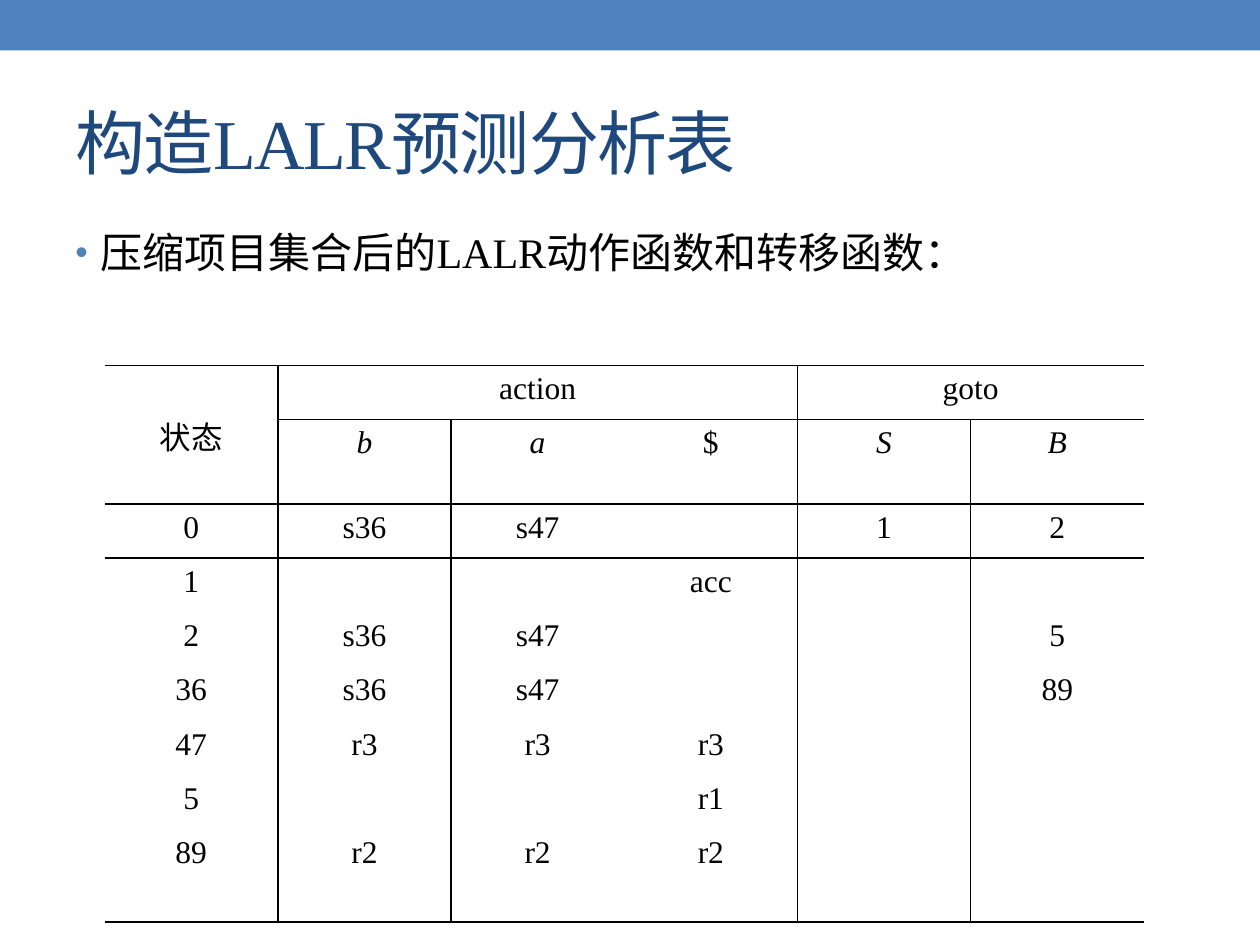
from pptx import Presentation, util as u
from pptx.dml.color import RGBColor
from pptx.enum import shapes, text
from pptx.oxml.ns import qn
from lxml import etree

COLORS = {"accent": "4F81BD", "title": "1F497D", "ink": "000000"}
SERIF, CJK = "Times New Roman", "Noto Sans CJK SC"
TITLE = [("构造LALR", SERIF), ("预测", CJK), ("分析表", SERIF)]
BULLET = "压缩项目集合后的LALR动作函数和转移函数："
ROWS = [
    ["状态", "action", "", "", "goto", ""],
    ["", "b", "a", "$", "S", "B"],
    ["0", "s36", "s47", "", "1", "2"],
    ["1", "", "", "acc", "", ""],
    ["2", "s36", "s47", "", "", "5"],
    ["36", "s36", "s47", "", "", "89"],
    ["47", "r3", "r3", "r3", "", ""],
    ["5", "", "", "r1", "", ""],
    ["89", "r2", "r2", "r2", "", ""],
]
MERGES = [((0, 0), (1, 0)), ((0, 1), (0, 3)), ((0, 4), (0, 5))]
SYMBOLS = {"b", "a", "S", "B"}
ROW_H, LAST_ROW_H = 0.43, 0.74
NO_STYLE = "{2D5ABB26-0587-4C30-8999-92F81FD0307C}"


def rgb(name):
    return RGBColor.from_string(COLORS[name])


def add_run(p, words, size, color, font=SERIF):
    r = p.add_run()
    r.text = words
    r.font.size = u.Pt(size)
    r.font.name = font
    r.font.color.rgb = rgb(color)
    etree.SubElement(r.font._element, qn("a:ea"), typeface=CJK)
    return r


def add_border(cell, side):
    ln = etree.SubElement(cell._tc.get_or_add_tcPr(), qn("a:ln" + side), w=str(u.Pt(1)))
    fill = etree.SubElement(ln, qn("a:solidFill"))
    etree.SubElement(fill, qn("a:srgbClr"), val=COLORS["ink"])


def cell_sides(row, col):
    last = len(ROWS) - 1
    return [side for side, wanted in (
        ("L", col in (1, 4)),
        ("R", col in (0, 3)),
        ("T", row in (0, 1, 2) and (row, col) != (1, 0)),
        ("B", row in (0, 1, last)),
    ) if wanted]


def add_title(s):
    sp = s.shapes.title
    sp.left, sp.top, sp.width, sp.height = map(u.Inches, (0.5, 0.58, 9, 1.08))
    tf = sp.text_frame
    tf.auto_size = text.MSO_AUTO_SIZE.NONE
    tf.vertical_anchor = text.MSO_ANCHOR.MIDDLE
    p = tf.paragraphs[0]
    p.alignment = text.PP_ALIGN.LEFT
    for words, font in TITLE:
        add_run(p, words, 40, "title", font).font._element.set("spc", "-100")


def add_bullet(s):
    tf = s.shapes.add_textbox(*map(u.Inches, (0.5, 1.75, 9, 5.33))).text_frame
    tf.word_wrap = True
    p = tf.paragraphs[0]
    pPr = p._p.get_or_add_pPr()
    pPr.set("marL", str(u.Inches(0.2)))
    pPr.set("indent", str(-u.Inches(0.2)))
    color = etree.SubElement(pPr, qn("a:buClr"))
    etree.SubElement(color, qn("a:srgbClr"), val=COLORS["accent"])
    etree.SubElement(pPr, qn("a:buSzPct"), val="85000")
    etree.SubElement(pPr, qn("a:buFont"), typeface="Arial")
    etree.SubElement(pPr, qn("a:buChar"), char="•")
    add_run(p, BULLET, 24, "ink")


def add_parse_table(s):
    heights = [ROW_H] * (len(ROWS) - 1) + [LAST_ROW_H]
    frame = s.shapes.add_table(len(ROWS), len(ROWS[0]),
                               *map(u.Inches, (0.83, 2.9, 8.25, sum(heights))))
    table = frame.table
    table.first_row = table.horz_banding = False
    table._tbl.tblPr.find(qn("a:tableStyleId")).text = NO_STYLE
    for row, height in zip(table.rows, heights):
        row.height = u.Inches(height)
    for start, end in MERGES:
        table.cell(*start).merge(table.cell(*end))
    for i, row in enumerate(ROWS):
        for j, words in enumerate(row):
            cell = table.cell(i, j)
            for side in cell_sides(i, j):
                add_border(cell, side)
            cell.fill.background()
            p = cell.text_frame.paragraphs[0]
            p.alignment = text.PP_ALIGN.CENTER
            if words:
                r = add_run(p, words, 18, "ink")
                r.font.italic = words in SYMBOLS
    table.cell(0, 0).text_frame.paragraphs[0].line_spacing = 1.9


def main():
    prs = Presentation()
    prs.slide_width, prs.slide_height = u.Inches(10), u.Inches(7.5)
    s = prs.slides.add_slide(prs.slide_layouts[5])
    band = s.shapes.add_shape(shapes.MSO_SHAPE.RECTANGLE, 0, 0, prs.slide_width, u.Inches(0.4))
    band.shadow.inherit = False
    band.fill.solid()
    band.fill.fore_color.rgb = rgb("accent")
    band.line.fill.background()
    add_title(s)
    add_bullet(s)
    add_parse_table(s)
    prs.save("out.pptx")


if __name__ == "__main__":
    main()
